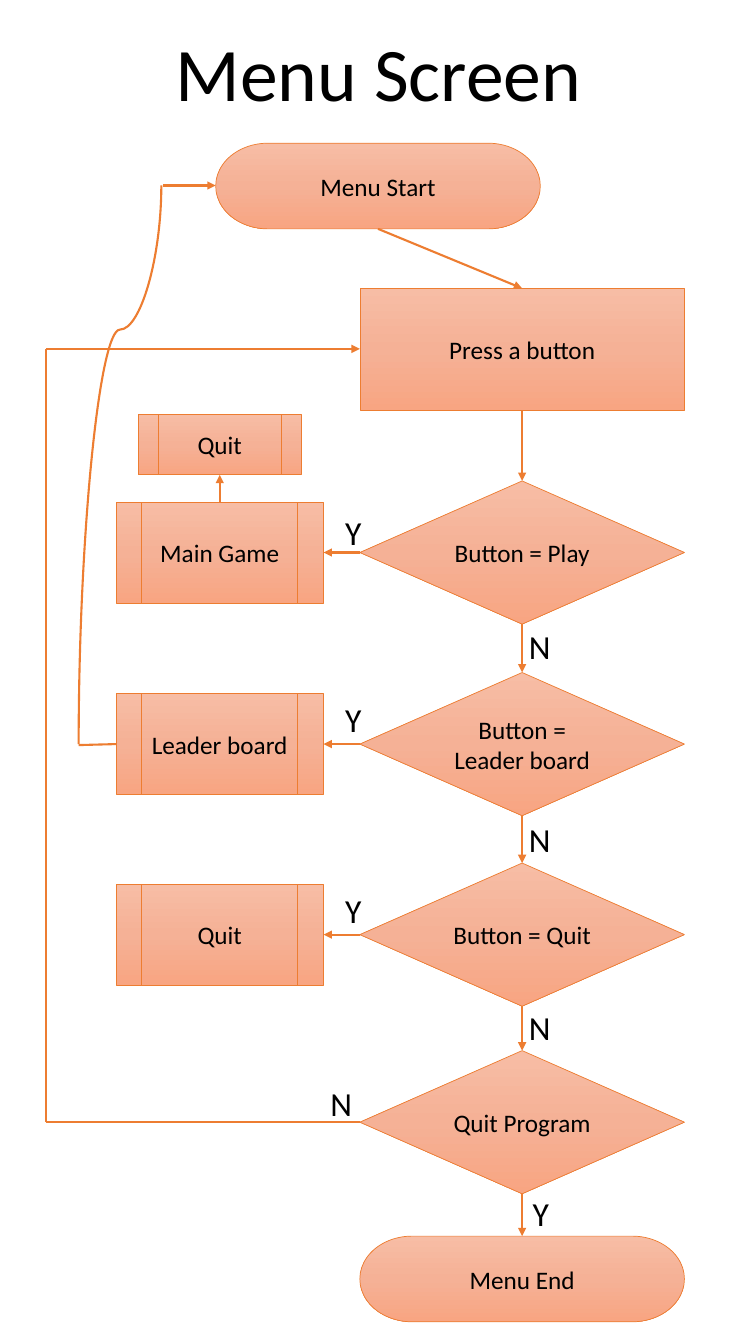
"""Build the Menu Screen flowchart slide."""
from copy import deepcopy
from lxml import etree
from pptx import Presentation
from pptx.dml.color import RGBColor
from pptx.enum.shapes import MSO_CONNECTOR, MSO_SHAPE
from pptx.enum.text import MSO_ANCHOR, MSO_AUTO_SIZE, PP_ALIGN
from pptx.oxml.ns import qn
from pptx.util import Pt

PX = 9144
COLORS = {"top": "F7BDA5", "middle": "F5B196", "bottom": "F8A582",
          "line": "ED7D31", "text": "000000"}
TERMINATOR = MSO_SHAPE.FLOWCHART_TERMINATOR
PROCESS = MSO_SHAPE.FLOWCHART_PROCESS
DECISION = MSO_SHAPE.FLOWCHART_DECISION
SUBPROCESS = MSO_SHAPE.FLOWCHART_PREDEFINED_PROCESS
STRAIGHT, CURVE = MSO_CONNECTOR.STRAIGHT, MSO_CONNECTOR.CURVE

STEP_LEFT, STEP_WIDTH, STEP_CENTER = 357, 322, 518
DECISION_HEIGHT = 142
SUB_LEFT, SUB_WIDTH, SUB_HEIGHT = 115, 206, 100
SUB_RIGHT = SUB_LEFT + SUB_WIDTH
SUB_CENTER = SUB_LEFT + SUB_WIDTH // 2
START_MIDDLE, PRESS_MIDDLE, LOOP_LEFT, RETURN_LEFT = 184, 346, 46, 78

prs = Presentation()
prs.slide_width, prs.slide_height = 750 * PX, 1333 * PX
slide = prs.slides.add_slide(prs.slide_layouts[6])


def write(shape, text, size):
    frame = shape.text_frame
    settings = {"margin_left": 5 * PX, "margin_right": 5 * PX,
                "vertical_anchor": MSO_ANCHOR.MIDDLE}
    for name, value in settings.items():
        setattr(frame, name, value)
    paragraph = frame.paragraphs[0]
    paragraph.text = text
    paragraph.alignment = PP_ALIGN.CENTER
    font = paragraph.runs[0].font
    for name, value in {"name": "Calibri", "size": Pt(size)}.items():
        setattr(font, name, value)
    font.color.rgb = RGBColor.from_string(COLORS["text"])


def connect(kind, points, arrow=False):
    link = slide.shapes.add_connector(kind, *(value * PX for value in points))
    link.line.color.rgb = RGBColor.from_string(COLORS["line"])
    link.line.width = Pt(1.5)
    if arrow:
        etree.SubElement(link.line._get_or_add_ln(), qn("a:tailEnd"), type="triangle")
    properties = link._element.spPr
    etree.SubElement(properties, qn("a:effectLst"))
    return properties


decisions = [("Button = Play", 477, "Main Game"),
             ("Button = Leader board", 667, "Leader board"),
             ("Button = Quit", 856, "Quit"),
             ("Quit Program", 1042, None)]
steps = [(TERMINATOR, "Menu Start", 214, 142, STEP_WIDTH, 85),
         (PROCESS, "Press a button", STEP_LEFT, 286, STEP_WIDTH, 121),
         (TERMINATOR, "Menu End", STEP_LEFT, 1226, STEP_WIDTH, 85),
         (SUBPROCESS, "Quit", 137, 411, 162, 60)]
arrows = [(375, 227, STEP_CENTER, 286),
          (162, START_MIDDLE, 214, START_MIDDLE),
          (LOOP_LEFT, PRESS_MIDDLE, STEP_LEFT, PRESS_MIDDLE),
          (SUB_CENTER, 498, SUB_CENTER, 471)]

above = 407
for question, top, branch in decisions:
    middle = top + DECISION_HEIGHT // 2
    steps.append((DECISION, question, STEP_LEFT, top, STEP_WIDTH, DECISION_HEIGHT))
    arrows.append((STEP_CENTER, above, STEP_CENTER, top))
    above = top + DECISION_HEIGHT
    if branch:
        steps.append((SUBPROCESS, branch, SUB_LEFT, middle - SUB_HEIGHT // 2,
                      SUB_WIDTH, SUB_HEIGHT))
        arrows.append((STEP_LEFT, middle, SUB_RIGHT, middle))
arrows.append((STEP_CENTER, above, STEP_CENTER, 1226))

for kind, text, left, top, width, height in steps:
    step = slide.shapes.add_shape(kind, left * PX, top * PX, width * PX, height * PX)
    step.shadow.inherit = False
    step.fill.gradient()
    step.fill.gradient_angle = 270
    first = step._element.spPr.find(f".//{qn('a:gs')}")
    first.addnext(deepcopy(first))
    for stop, name, position in zip(step.fill.gradient_stops,
                                    ("top", "middle", "bottom"), (0, 0.5, 1)):
        stop.position = position
        stop.color.rgb = RGBColor.from_string(COLORS[name])
    step.line.color.rgb = RGBColor.from_string(COLORS["line"])
    step.line.width = Pt(0.5)
    step.text_frame.word_wrap = True
    write(step, text, 18)

for points in arrows:
    connect(STRAIGHT, points, arrow=True)
for points in [(LOOP_LEFT, middle, LOOP_LEFT, PRESS_MIDDLE),
               (LOOP_LEFT, middle, STEP_LEFT, middle),
               (RETURN_LEFT, 739, SUB_LEFT, 738)]:
    connect(STRAIGHT, points)

return_curve = connect(CURVE, (396, 502, -158, 420))
return_curve.find(qn("a:xfrm")).set("rot", "5400000")
bends = return_curve.find(qn("a:prstGeom")).get_or_add_avLst()
etree.SubElement(bends, qn("a:gd"), name="adj1", fmla="val 74200")

labels = [("Menu Screen", 162, 20, 427, 101, 54)]
labels += [("Y", left, top, 37, 50, 24)
           for left, top in [(332, 503), (332, 688), (332, 878), (518, 1178)]]
labels += [("N", left, top, 57, 50, 24)
           for left, top in [(507, 616), (507, 807), (507, 994), (310, 1069)]]
for text, left, top, width, height, size in labels:
    label = slide.shapes.add_textbox(left * PX, top * PX, width * PX, height * PX)
    label.text_frame.word_wrap = False
    label.text_frame.auto_size = MSO_AUTO_SIZE.SHAPE_TO_FIT_TEXT
    write(label, text, size)

prs.save("out.pptx")
